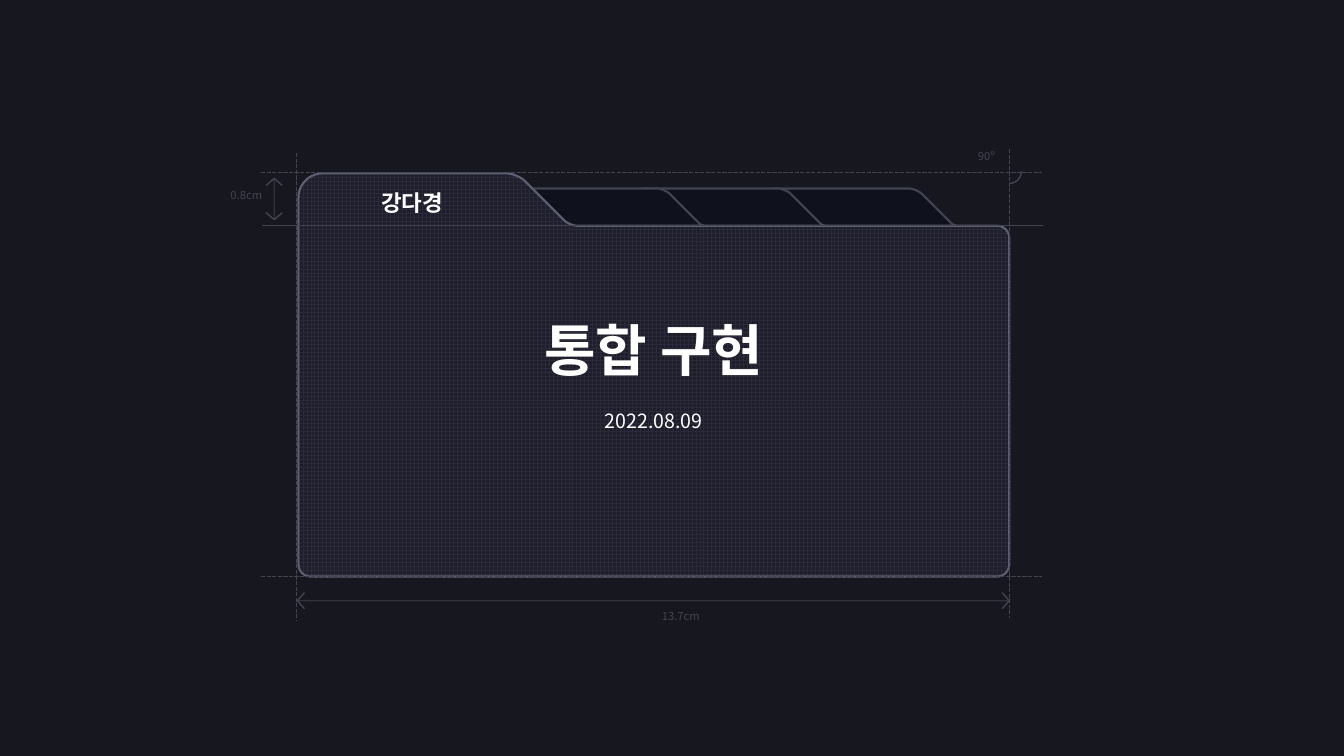
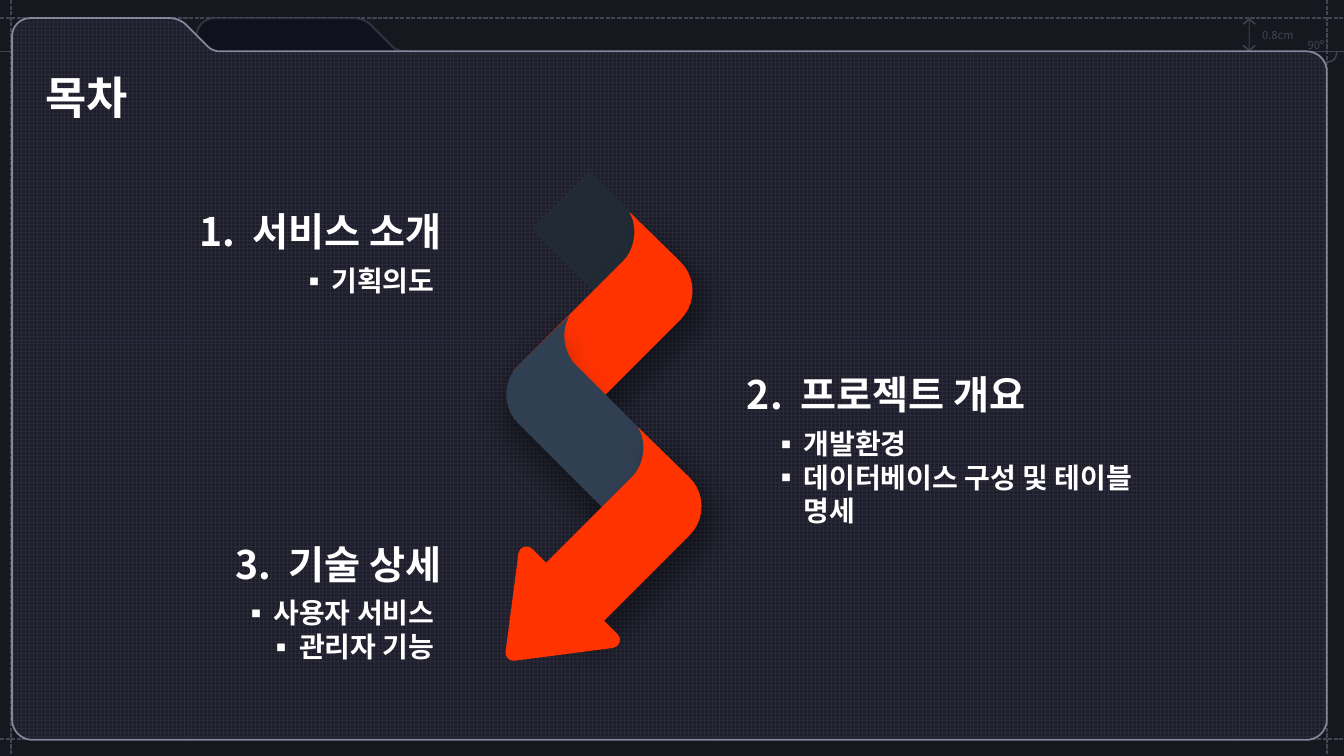
from math import dist
from lxml.etree import SubElement
from pptx import Presentation
from pptx.dml.color import RGBColor
from pptx.enum.dml import MSO_LINE, MSO_PATTERN
from pptx.enum.shapes import MSO_CONNECTOR, MSO_SHAPE
from pptx.enum.text import MSO_ANCHOR, MSO_AUTO_SIZE, PP_ALIGN
from pptx.oxml.ns import qn
from pptx.util import Inches, Pt

FONT = "Noto Sans CJK KR"
BACKGROUND = RGBColor(0x17, 0x17, 0x1F)
GUIDE = RGBColor(0x42, 0x44, 0x52)
GRID = RGBColor(0x2A, 0x2A, 0x3A)
PANEL = RGBColor(0x1E, 0x1E, 0x2A)
BACK_TAB = RGBColor(0x0F, 0x11, 0x1D)
FAINT_EDGE = RGBColor(0x4D, 0x50, 0x5F)
COVER_EDGE = RGBColor(0x5D, 0x60, 0x73)
PAGE_EDGE = RGBColor(0x84, 0x87, 0x9C)
WHITE = RGBColor(0xFF, 0xFF, 0xFF)
ORANGE = RGBColor(0xFF, 0x33, 0x00)
SLATE = RGBColor(0x31, 0x3F, 0x52)
DARK_SLATE = RGBColor(0x22, 0x2A, 0x35)

# Corners of a folded ribbon as offsets from its upper tip: x, y, rounding
RIBBON = [(0, 0, 0), (0.8, 0.78, 0.41), (-0.57, 2.15, 0),
          (-1.15, 1.58, 0), (0.14, 0.29, 0.28)]


def write(shape, *paragraphs, size, color=WHITE, bold=True, align=PP_ALIGN.LEFT,
          anchor=MSO_ANCHOR.TOP, wrap=True, bullet=None):
    """Fill a shape with paragraphs, each a string or a list of runs."""
    frame = shape.text_frame
    frame.word_wrap = wrap
    frame.auto_size = MSO_AUTO_SIZE.NONE
    frame.vertical_anchor = anchor
    for index, content in enumerate(paragraphs):
        paragraph = frame.add_paragraph() if index else frame.paragraphs[0]
        paragraph.alignment = align
        paragraph.space_before = Pt(0)
        if bullet:
            properties = paragraph._p.get_or_add_pPr()
            properties.set("marL", str(Inches(0.31)))
            properties.set("indent", str(-Inches(0.31)))
            SubElement(properties, qn("a:buFont"), typeface=FONT)
            SubElement(properties, qn("a:buChar"), char=bullet)
        for text in [content] if isinstance(content, str) else content:
            run = paragraph.add_run()
            run.text = text
            run.font.size = Pt(size)
            run.font.bold = bold
            run.font.color.rgb = color
            run.font.name = FONT
            SubElement(run._r.get_or_add_rPr(), qn("a:ea"), typeface=FONT)
    return shape


def add_text(slide, box, *paragraphs, **text_format):
    text_box = slide.shapes.add_textbox(*map(Inches, box))
    return write(text_box, *paragraphs, **text_format)


def fill_placeholder(slide, placeholder, box, *paragraphs, **text_format):
    """Place a placeholder in front of the shapes drawn so far and fill it."""
    placeholder.left, placeholder.top, placeholder.width, placeholder.height = map(Inches, box)
    slide.shapes._spTree.append(placeholder._element)
    return write(placeholder, *paragraphs, **text_format)


def set_line(line, color, width, alpha=None):
    line.color.rgb = color
    line.width = Pt(width)
    if alpha:
        color_element = line._get_or_add_ln().find(".//" + qn("a:srgbClr"))
        SubElement(color_element, qn("a:alpha"), val=str(alpha * 1000))


def set_fill(shape, color):
    shape.shadow.inherit = False
    shape.fill.solid()
    shape.fill.fore_color.rgb = color


def add_guide(slide, start, end, dashed=True, alpha=None):
    guide = slide.shapes.add_connector(MSO_CONNECTOR.STRAIGHT, *map(Inches, start + end))
    set_line(guide.line, GUIDE, 1, alpha)
    if dashed:
        guide.line.dash_style = MSO_LINE.SQUARE_DOT
    SubElement(guide._element.spPr, qn("a:effectLst"))


def add_outline(slide, points, close=True):
    (start, *others) = [(Inches(x), Inches(y)) for x, y in points]
    builder = slide.shapes.build_freeform(*start)
    builder.add_line_segments(others, close=close)
    outline = builder.convert_to_shape()
    outline.shadow.inherit = False
    return outline


def add_dimension(slide, start, end, half_width, depth):
    """Draw a measuring line with an open arrowhead at both ends."""
    add_guide(slide, start, end, dashed=False, alpha=61)
    length = dist(start, end)
    along_x, along_y = [(b - a) / length for a, b in zip(start, end)]
    for (x, y), inward in ((start, depth), (end, -depth)):
        base_x, base_y = x + along_x * inward, y + along_y * inward
        side_x, side_y = -along_y * half_width, along_x * half_width
        arrowhead = add_outline(slide, [(base_x + side_x, base_y + side_y), (x, y),
                                        (base_x - side_x, base_y - side_y)], close=False)
        arrowhead.fill.background()
        set_line(arrowhead.line, GUIDE, 1)


def add_right_angle(slide, center_x, center_y, radius):
    box = (center_x - radius, center_y - radius, 2 * radius, 2 * radius)
    arc = slide.shapes.add_shape(MSO_SHAPE.ARC, *map(Inches, box))
    arc.adjustments[0], arc.adjustments[1] = 0, 54
    arc.shadow.inherit = False
    arc.fill.background()
    set_line(arc.line, GUIDE, 1)


def round_corners(corners, steps=10):
    """Turn (x, y, rounding) corners into the points of a smooth closed outline."""
    points = []
    for index, (x, y, rounding) in enumerate(corners):
        if not rounding:
            points.append((x, y))
            continue
        ends = []
        for neighbour in (corners[index - 1], corners[(index + 1) % len(corners)]):
            share = rounding / dist((x, y), neighbour[:2])
            ends.append((x + (neighbour[0] - x) * share, y + (neighbour[1] - y) * share))
        controls = [[end + (corner - end) * 0.55 for end, corner in zip(point, (x, y))]
                    for point in ends]
        curve = (ends[0], *controls, ends[1])
        for step in range(steps + 1):
            t = step / steps
            weights = ((1 - t) ** 3, 3 * t * (1 - t) ** 2, 3 * t * t * (1 - t), t ** 3)
            points.append(tuple(sum(w * point[axis] for w, point in zip(weights, curve))
                                for axis in (0, 1)))
    return points


def add_folder(slide, left, top, right, bottom, tab_end, shelf,
               tab_rounding, bend, body_rounding=0):
    """Draw a folder whose tab slopes down at 45 degrees from tab_end to the shelf."""
    return add_outline(slide, round_corners([
        (left, top, tab_rounding),
        (tab_end, top, bend),
        (tab_end + shelf - top, shelf, bend * 0.7),
        (right, shelf, body_rounding),
        (right, bottom, body_rounding),
        (left, bottom, body_rounding)]))


def add_back_tab(slide, *box, color, alpha=None, **shape_format):
    tab = add_folder(slide, *box, **shape_format)
    set_fill(tab, BACK_TAB)
    set_line(tab.line, color, 1.5, alpha)


def add_front_folder(slide, *box, color, width, **shape_format):
    folder = add_folder(slide, *box, **shape_format)
    folder.fill.patterned()
    folder.fill.pattern = MSO_PATTERN.LARGE_GRID
    folder.fill.fore_color.rgb = GRID
    folder.fill.back_color.rgb = PANEL
    set_line(folder.line, color, width)


def add_ribbon(slide, tip_x, tip_y, color, side, shadow_angle):
    """Draw a ribbon that bends to the right (side 1) or the left (side -1)."""
    corners = [(tip_x + side * x, tip_y + y, rounding) for x, y, rounding in RIBBON]
    ribbon = add_outline(slide, round_corners(corners))
    set_fill(ribbon, color)
    ribbon.line.fill.background()
    effects = ribbon._element.spPr.find(qn("a:effectLst"))
    shadow = SubElement(effects, qn("a:outerShdw"), blurRad=str(Pt(22)), dist=str(Pt(13)),
                        dir=str(shadow_angle * 60000), algn="t", rotWithShape="0")
    shadow_color = SubElement(shadow, qn("a:srgbClr"), val="000000")
    SubElement(shadow_color, qn("a:alpha"), val="40000")


def add_turned_shape(slide, kind, box, color):
    shape = slide.shapes.add_shape(kind, *map(Inches, box))
    shape.rotation = 225
    set_fill(shape, color)
    shape.line.fill.background()
    return shape


def add_zigzag_arrow(slide):
    add_turned_shape(slide, MSO_SHAPE.RECTANGLE, (5.4, 1.95, 1.07, 0.82), DARK_SLATE)
    add_ribbon(slide, 6.24, 2.1, ORANGE, 1, 45)
    add_ribbon(slide, 5.65, 3.13, SLATE, -1, 100)
    add_ribbon(slide, 6.33, 4.24, ORANGE, 1, 45)
    head = add_turned_shape(slide, MSO_SHAPE.ISOSCELES_TRIANGLE, (4.77, 5.81, 1.2, 0.78), ORANGE)
    set_line(head.line, ORANGE, 11.5)
    SubElement(head.line._get_or_add_ln(), qn("a:round"))


def add_section(slide, placeholder, heading_box, list_box, number, heading, items, align):
    heading_text = add_text(slide, heading_box, [number, " ", heading], size=28, align=align)
    gap = heading_text.text_frame.paragraphs[0].runs[1]
    gap._r.get_or_add_rPr().set("spc", "640")
    fill_placeholder(slide, placeholder, list_box, *items, size=20, align=align, bullet="▪")


def build_cover(presentation):
    slide = presentation.slides.add_slide(presentation.slide_layouts[0])
    small = {"size": 8, "color": GUIDE, "bold": False}
    add_guide(slide, (2.94, 1.52), (2.94, 6.16))
    for left in (7.52, 6.22, 5.02):
        add_back_tab(slide, left, 1.87, left + 2.11, 2.42, color=GUIDE,
                     tab_end=left + 1.57, shelf=2.25, tab_rounding=0.17, bend=0.08)
    add_front_folder(slide, 2.96, 1.72, 10.01, 5.72, color=COVER_EDGE, width=1.5,
                     tab_end=5.13, shelf=2.24, tab_rounding=0.24, bend=0.11,
                     body_rounding=0.12)
    add_guide(slide, (2.59, 1.71), (10.33, 1.71))
    add_guide(slide, (10.01, 1.48), (10.01, 6.13))
    add_guide(slide, (2.6, 2.24), (10.34, 2.24), dashed=False)
    add_guide(slide, (2.59, 5.72), (10.33, 5.72))
    add_dimension(slide, (2.72, 1.77), (2.72, 2.18), 0.08, 0.07)
    add_dimension(slide, (2.95, 5.96), (10.01, 5.96), 0.08, 0.07)
    add_right_angle(slide, 10.01, 1.7, 0.12)
    add_text(slide, (2.04, 1.82, 0.66, 0.24), "0.8cm", align=PP_ALIGN.RIGHT, **small)
    add_text(slide, (9.6, 1.43, 0.38, 0.24), "90º", wrap=False, **small)
    add_text(slide, (6.22, 6, 0.82, 0.24), "13.7cm", align=PP_ALIGN.RIGHT, **small)
    add_text(slide, (3.06, 1.83, 2.06, 0.37), "강다경", size=16, align=PP_ALIGN.CENTER)
    centered = {"align": PP_ALIGN.CENTER, "anchor": MSO_ANCHOR.MIDDLE}
    fill_placeholder(slide, slide.shapes.title, (2.96, 3.06, 7.05, 0.8),
                     "통합 구현", size=40, **centered)
    fill_placeholder(slide, slide.placeholders[1], (2.96, 3.97, 7.05, 0.4),
                     "2022.08.09", size=14, bold=False, **centered)


def build_contents(presentation):
    slide = presentation.slides.add_slide(presentation.slide_layouts[4])
    small = {"size": 8, "color": GUIDE, "bold": False}
    for y in (0.18, 7.33):
        add_guide(slide, (0, y), (13.33, y))
    for x in (0.11, 13.16):
        add_guide(slide, (x, 0), (x, 7.5))
    add_back_tab(slide, 1.95, 0.18, 4.08, 0.78, color=FAINT_EDGE, alpha=48,
                 tab_end=3.61, shelf=0.51, tab_rounding=0.18, bend=0.09)
    add_guide(slide, (0, 0.51), (13.33, 0.51), dashed=False)
    add_dimension(slide, (12.39, 0.19), (12.39, 0.5), 0.06, 0.05)
    add_text(slide, (12.42, 0.23, 0.63, 0.24), "0.8cm", **small)
    add_right_angle(slide, 13.16, 0.52, 0.1)
    add_text(slide, (12.87, 0.33, 0.39, 0.24), "90º", wrap=False, **small)
    add_front_folder(slide, 0.12, 0.18, 13.16, 7.34, color=PAGE_EDGE, width=1.25,
                     tab_end=1.78, shelf=0.51, tab_rounding=0.18, bend=0.09,
                     body_rounding=0.2)
    fill_placeholder(slide, slide.shapes.title, (0.35, 0.64, 6.25, 0.64), "목차", size=32)
    sections = [
        ((1.75, 2.01, 2.73, 0.57), (1.9, 2.56, 2.51, 0.44), "1.", "서비스 소개",
         ["기획의도"], PP_ALIGN.RIGHT),
        ((7.31, 3.62, 4.58, 0.57), (7.56, 4.18, 4.21, 1.45), "2.", "프로젝트 개요",
         ["개발환경", "데이터베이스 구성 및 테이블 명세"], PP_ALIGN.LEFT),
        ((1.75, 5.31, 2.73, 0.57), (1.9, 5.86, 2.51, 0.77), "3.", "기술 상세",
         ["사용자 서비스", "관리자 기능"], PP_ALIGN.RIGHT),
    ]
    *list_placeholders, unused = list(slide.placeholders)[1:]
    unused._element.getparent().remove(unused._element)
    for placeholder, section in zip(list_placeholders, sections):
        add_section(slide, placeholder, *section)
    add_zigzag_arrow(slide)


def main():
    presentation = Presentation()
    presentation.slide_width, presentation.slide_height = Inches(13.33), Inches(7.5)
    background = presentation.slide_master.background.fill
    background.solid()
    background.fore_color.rgb = BACKGROUND
    build_cover(presentation)
    build_contents(presentation)
    presentation.save("out.pptx")


if __name__ == "__main__":
    main()
